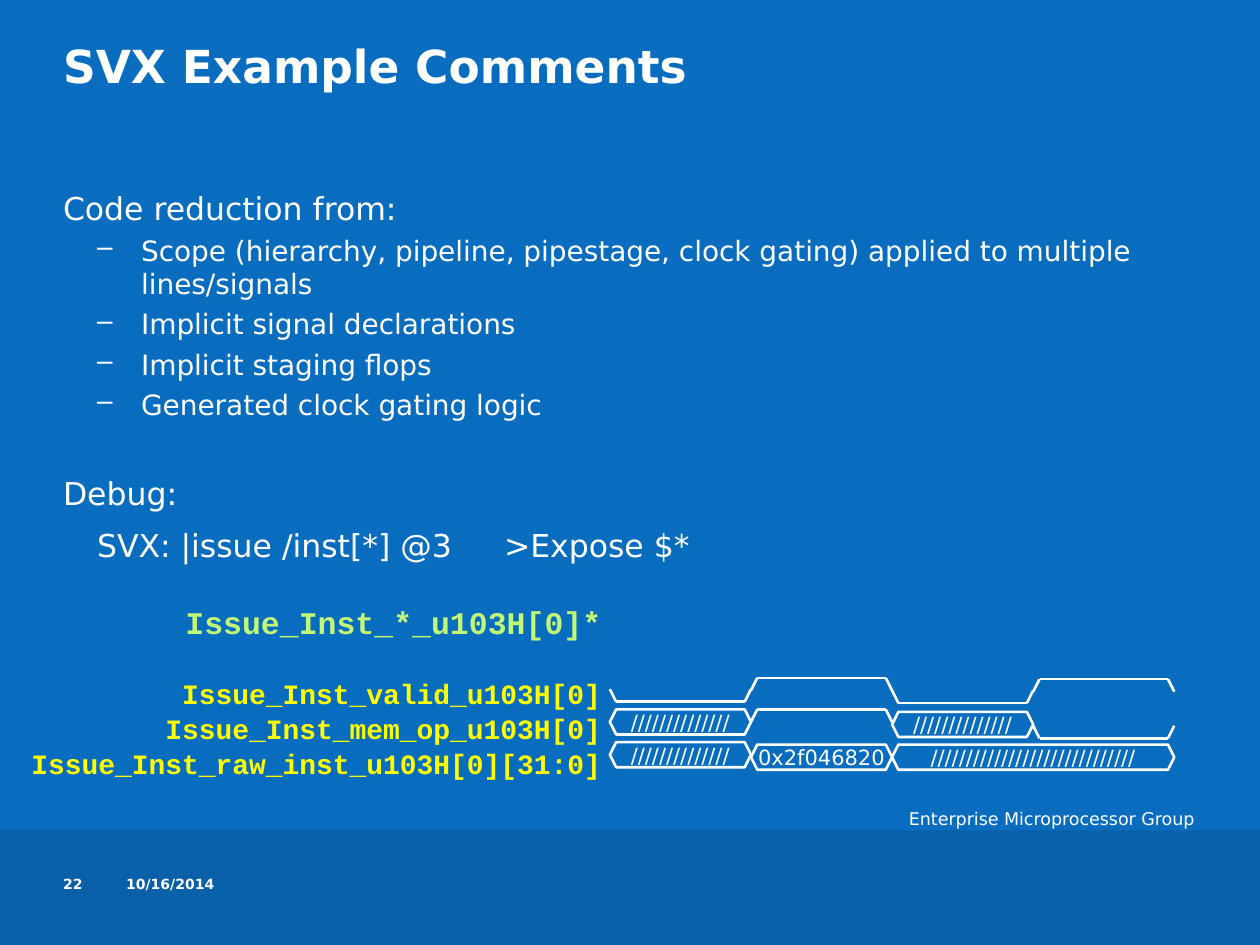
from itertools import pairwise

from lxml.etree import SubElement
from pptx import Presentation
from pptx.dml.color import RGBColor
from pptx.enum.shapes import MSO_CONNECTOR, MSO_SHAPE
from pptx.enum.text import MSO_ANCHOR, PP_ALIGN
from pptx.oxml.ns import qn
from pptx.util import Inches, Pt

COLORS = {
    "background": "096DBF",
    "band": "0860A8",
    "text": "FFFFFF",
    "pattern": "C1F977",
    "signal": "FFFF00",
}
SANS, MONO = "DejaVu Sans", "Courier New"
MARGIN = 0.5
CONTENT_WIDTH = 9.01

# Waveform grid: one column per clock phase
WAVE_LEFT, PHASE = 4.84, 1.12
SLANT, LEG = 0.05, 0.1
HIGH, LOW = 1, -1
HATCH = "/" * 14

# column, level, height of the flat part
PULSES = [
    (0, LOW, 5.57), (1, HIGH, 5.38), (2, LOW, 5.58), (3, HIGH, 5.39),
    (1, HIGH, 5.63), (3, LOW, 5.86),
]
# column, columns spanned, top, label, filled
BUS_VALUES = [
    (1, 1, 5.91, "0x2f046820", False),
    (2, 2, 5.91, "/" * 29, True),
    (2, 1, 5.65, HATCH, True),
    (0, 1, 5.89, HATCH, True),
    (0, 1, 5.63, HATCH, True),
]
# text, size, colour, space before
SIGNALS = [
    ("Issue_Inst_*_u103H[0]*", 18, "pattern", 0),
    ("Issue_Inst_valid_u103H[0]", 16, "signal", 20),
    ("Issue_Inst_mem_op_u103H[0]", 16, "signal", 1),
    ("Issue_Inst_raw_inst_u103H[0][31:0]", 16, "signal", 1),
]
REDUCTIONS = [
    "Scope (hierarchy, pipeline, pipestage, clock gating) applied to multiple lines/signals",
    "Implicit signal declarations",
    "Implicit staging flops",
    "Generated clock gating logic",
]


def rgb(name):
    return RGBColor.from_string(COLORS[name])


def write(paragraph, text, size, color="text", font=SANS, bold=False,
          align=PP_ALIGN.LEFT, before=0):
    paragraph.text = text
    paragraph.alignment = align
    paragraph.space_before = Pt(before)
    for run in paragraph.runs:
        run.font.size, run.font.bold, run.font.name = Pt(size), bold, font
        run.font.color.rgb = rgb(color)


def prepare_frame(frame, inset=0.0):
    frame.word_wrap = True
    frame.vertical_anchor = MSO_ANCHOR.TOP
    frame.margin_left = frame.margin_right = Inches(2 * inset)
    frame.margin_top = frame.margin_bottom = Inches(inset)
    return frame


def add_text_box(slide, left, top, width, height, inset=0.0):
    box = slide.shapes.add_textbox(*map(Inches, (left, top, width, height)))
    return prepare_frame(box.text_frame, inset)


def add_paragraphs(frame, count):
    return [frame.paragraphs[0]] + [frame.add_paragraph() for _ in range(count - 1)]


def set_indent(paragraph, left, first, bullet=None, tab=None):
    properties = paragraph._p.get_or_add_pPr()
    properties.set("marL", str(Inches(left)))
    properties.set("indent", str(Inches(first)))
    if bullet:
        SubElement(properties, qn("a:buChar"), char=bullet)
    if tab:
        stops = SubElement(properties, qn("a:tabLst"))
        SubElement(stops, qn("a:tab"), pos=str(Inches(tab)), algn="l")


def add_title(slide):
    title = slide.shapes.title
    title.left, title.top = Inches(MARGIN), Inches(0.3)
    title.width, title.height = Inches(CONTENT_WIDTH), Inches(0.97)
    frame = prepare_frame(title.text_frame)
    write(frame.paragraphs[0], "SVX Example Comments", 26, bold=True)


def add_comments(slide):
    frame = add_text_box(slide, MARGIN, 1.5, CONTENT_WIDTH, 4.75)
    heading, *items, debug, command = add_paragraphs(frame, len(REDUCTIONS) + 3)
    write(heading, "Code reduction from:", 18)
    for item, reduction in zip(items, REDUCTIONS):
        write(item, reduction, 16, before=3.7)
        set_indent(item, 0.62, -0.35, bullet="–")
    write(debug, "Debug:", 18, before=30.5)
    write(command, "SVX: |issue /inst[*] @3\t>Expose $*", 18, before=8)
    set_indent(command, 0, 0.27, tab=3.33)


def add_signal_names(slide):
    frame = add_text_box(slide, 0, 4.74, 4.87, 2.02, inset=0.05)
    for paragraph, (name, size, color, before) in zip(
            add_paragraphs(frame, len(SIGNALS)), SIGNALS):
        write(paragraph, name, size, color, MONO, True, PP_ALIGN.RIGHT, before)


def add_bus_value(slide, column, span, top, label, filled):
    value = slide.shapes.add_shape(
        MSO_SHAPE.HEXAGON, Inches(WAVE_LEFT + column * PHASE), Inches(top),
        Inches(span * PHASE), Inches(0.2))
    value.shadow.inherit = False
    if filled:
        value.fill.solid()
        value.fill.fore_color.rgb = rgb("background")
    else:
        value.fill.background()
    value.line.color.rgb = rgb("text")
    value.line.width = Pt(1.5)
    frame = value.text_frame
    frame.word_wrap = False
    frame.vertical_anchor = MSO_ANCHOR.MIDDLE
    write(frame.paragraphs[0], label, 12, align=PP_ALIGN.CENTER)


def add_pulse(slide, column, level, flat):
    """Draw one phase of a signal: a flat part with a slanted leg at each end."""
    left = WAVE_LEFT + column * PHASE
    right = left + PHASE
    leg_end = flat + level * LEG
    points = [(left, leg_end), (left + SLANT, flat),
              (right - SLANT, flat), (right, leg_end)]
    for start, end in pairwise(points):
        edge = slide.shapes.add_connector(
            MSO_CONNECTOR.STRAIGHT, *map(Inches, start + end))
        edge.line.color.rgb = rgb("text")
        edge.line.width = Pt(1.5)
        SubElement(edge._element.spPr, qn("a:effectLst"))


def add_footer(slide):
    band = slide.shapes.add_shape(
        MSO_SHAPE.RECTANGLE, 0, Inches(6.59), Inches(10), Inches(0.91))
    band.shadow.inherit = False
    band.fill.solid()
    band.fill.fore_color.rgb = rgb("band")
    band.line.fill.background()
    group = add_text_box(slide, 5.21, 6.41, 4.27, 0.17)
    write(group.paragraphs[0], "Enterprise Microprocessor Group", 10,
          align=PP_ALIGN.RIGHT)
    for left, width, label in ((1, 0.82, "10/16/2014"), (MARGIN, 0.45, "22")):
        frame = add_text_box(slide, left, 6.95, width, 0.33)
        write(frame.paragraphs[0], label, 8, bold=True)


def main():
    deck = Presentation()
    deck.slide_width, deck.slide_height = Inches(10), Inches(7.5)
    slide = deck.slides.add_slide(deck.slide_layouts[5])
    slide.background.fill.solid()
    slide.background.fill.fore_color.rgb = rgb("background")
    add_footer(slide)
    add_title(slide)
    add_comments(slide)
    add_signal_names(slide)
    for value in BUS_VALUES:
        add_bus_value(slide, *value)
    for pulse in PULSES:
        add_pulse(slide, *pulse)
    deck.save("out.pptx")


if __name__ == "__main__":
    main()
